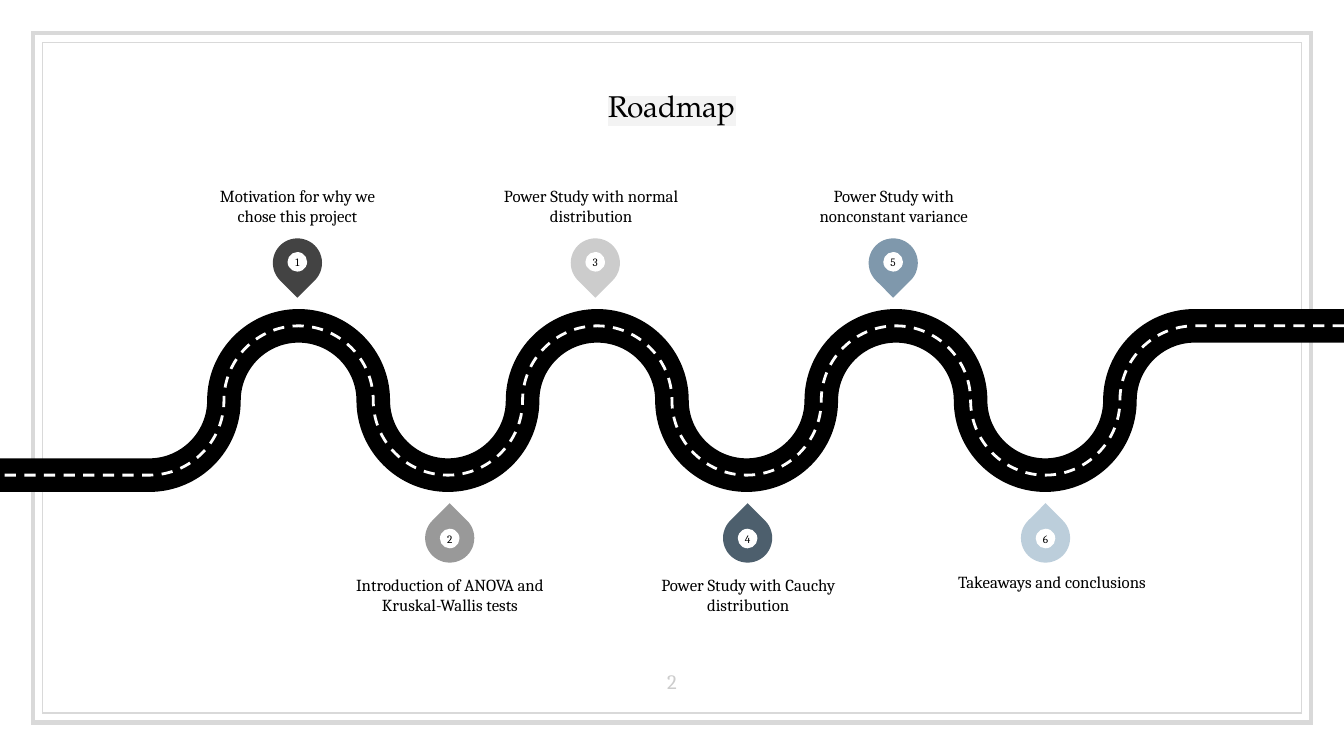
from lxml.etree import SubElement
from pptx import Presentation
from pptx.dml.color import RGBColor
from pptx.enum.dml import MSO_LINE
from pptx.enum.shapes import MSO_SHAPE
from pptx.enum.text import MSO_ANCHOR, PP_ALIGN
from pptx.oxml.ns import qn
from pptx.util import Cm, Pt

COLORS = {
    "frame": "D9D9D9", "highlight": "F3F3F3", "page": "CCCCCC",
    "ink": "000000", "paper": "FFFFFF",
    1: "434343", 2: "999999", 3: "CCCCCC",
    4: "4D5F6D", 5: "7F98AC", 6: "BCCEDB",
}
BODY_FONT, TITLE_FONT = "Cambria", "TeX Gyre Pagella"

# Lengths in cm; the road has nine equal columns
WIDTH, HEIGHT = 25.4, 14.29
COLUMN = WIDTH / 9
ROAD_TOP = 6.16
ROAD_MIDDLE = ROAD_TOP + COLUMN / 2
ROAD_BOTTOM = ROAD_TOP + COLUMN
ROUNDNESS = 0.55  # control point distance of a quarter circle
PIN_SIZE, DOT_SIZE, PIN_PITCH = 0.93, 0.37, 5.63
LABEL_WIDTH, LABEL_HEIGHT = 3.58, 1.47

# Step number, label, left and top of the label
STEPS = [
    (1, "Motivation for why we chose this project", 3.83, 2.8),
    (2, "Introduction of ANOVA and Kruskal-Wallis tests", 6.71, 10.86),
    (3, "Power Study with normal distribution", 9.38, 2.8),
    (4, "Power Study with Cauchy distribution", 12.35, 10.86),
    (5, "Power Study with nonconstant variance", 15.1, 2.8),
    (6, "Takeaways and conclusions", 18.09, 10.8),
]


def color(key):
    return RGBColor.from_string(COLORS[key])


def apply(target, values):
    for name, value in values.items():
        setattr(target, name, value)


def write(shape, text, size, font=BODY_FONT, ink="ink",
          anchor=MSO_ANCHOR.MIDDLE, inset=0):
    frame = shape.text_frame
    apply(frame, {
        "word_wrap": True, "vertical_anchor": anchor,
        "margin_left": Cm(inset), "margin_right": Cm(inset),
        "margin_top": Cm(inset), "margin_bottom": Cm(inset),
    })
    paragraph = frame.paragraphs[0]
    paragraph.alignment = PP_ALIGN.CENTER
    run = paragraph.add_run()
    run.text = text
    run.font.color.rgb = color(ink)
    apply(run.font, {"size": Pt(size), "name": font})
    return run


def add_text(slide, box, text, size, **style):
    write(slide.shapes.add_textbox(*map(Cm, box)), text, size, **style)


def outline(shape, key, width, dash=None):
    shape.shadow.inherit = False
    shape.fill.background()
    shape.line.color.rgb = color(key)
    apply(shape.line, {"width": Pt(width), "dash_style": dash})


def add_frame(slide, position, margin_x, margin_y, width):
    """Put a frame behind everything, on the slide master."""
    box = (margin_x, margin_y, WIDTH - 2 * margin_x, HEIGHT - 2 * margin_y)
    frame = slide.shapes.add_shape(MSO_SHAPE.RECTANGLE, *map(Cm, box))
    outline(frame, "frame", width)
    line = frame._element.spPr.find(qn("a:ln"))
    SubElement(line, qn("a:miter"), lim="800000")
    master = slide.slide_layout.slide_master
    master.shapes._spTree.insert(2 + position, frame._element)


def add_title(slide, text):
    title = slide.shapes.title
    apply(title, {"left": Cm(1.08), "top": Cm(0.94),
                  "width": Cm(23.24), "height": Cm(2.11)})
    run = write(title, text, 16, font=TITLE_FONT, inset=0.25)
    # The highlight belongs right after the text fill
    properties = run.font._element
    highlight = SubElement(properties, qn("a:highlight"))
    SubElement(highlight, qn("a:srgbClr"), val=COLORS["highlight"])
    properties.find(qn("a:solidFill")).addnext(highlight)


def road_points():
    """Crests, sides and valleys from right to left."""
    points = [(WIDTH, ROAD_TOP)]
    for column in range(8, 0, -1):
        points.append((column * COLUMN,
                       ROAD_BOTTOM if column % 2 else ROAD_TOP))
        if column > 1:
            points.append(((column - 0.5) * COLUMN, ROAD_MIDDLE))
    points.append((0, ROAD_BOTTOM))
    return [(Cm(x), Cm(y)) for x, y in points]


def round_bends(road):
    """Turn all segments but the straight ends into quarter circles."""
    segments = list(road._element.iter(qn("a:lnTo")))
    ends = [(int(segment[0].get("x")), int(segment[0].get("y")))
            for segment in segments]
    for index in range(1, len(segments) - 1):
        segment, start, end = segments[index], ends[index - 1], ends[index]
        corner = (end[0], start[1]) if index % 2 else (start[0], end[1])
        segment.tag = qn("a:cubicBezTo")
        segment.remove(segment[0])
        controls = [[round(a + ROUNDNESS * (c - a))
                     for a, c in zip(anchor, corner)]
                    for anchor in (start, end)]
        for x, y in (*controls, end):
            SubElement(segment, qn("a:pt"), x=str(x), y=str(y))


def add_road(slide, key, width, dash=None):
    start, *bends = road_points()
    builder = slide.shapes.build_freeform(*start)
    builder.add_line_segments(bends, close=False)
    road = builder.convert_to_shape()
    round_bends(road)
    outline(road, key, width, dash)


def add_disc(group, kind, center_x, center_y, size, key):
    box = (center_x - size / 2, center_y - size / 2, size, size)
    disc = group.shapes.add_shape(kind, *map(Cm, box))
    disc.shadow.inherit = False
    disc.fill.solid()
    disc.fill.fore_color.rgb = color(key)
    disc.line.fill.background()
    return disc


def add_pin(slide, number):
    above = number % 2 == 1
    first_x, pin_y, dot_y = (5.62, 4.97, 4.95) if above else (8.5, 10.17, 10.18)
    x = first_x + (number - 1) // 2 * PIN_PITCH
    group = slide.shapes.add_group_shape()
    pin = add_disc(group, MSO_SHAPE.TEAR, x, pin_y, PIN_SIZE, number)
    pin.rotation = 135 if above else 315
    dot = add_disc(group, MSO_SHAPE.OVAL, x, dot_y, DOT_SIZE, "paper")
    write(dot, str(number), 6)


def add_label(slide, number, text, left, top):
    anchor = MSO_ANCHOR.BOTTOM if number % 2 else MSO_ANCHOR.TOP
    box = (left, top, LABEL_WIDTH, LABEL_HEIGHT)
    add_text(slide, box, text, 9, anchor=anchor)


def main():
    deck = Presentation()
    apply(deck, {"slide_width": Cm(WIDTH), "slide_height": Cm(HEIGHT)})
    slide = deck.slides.add_slide(deck.slide_layouts[5])

    # Double frame, title and page number
    add_frame(slide, 0, 0.62, 0.63, 2.25)
    add_frame(slide, 1, 0.8, 0.81, 0.75)
    add_title(slide, "Roadmap")
    add_text(slide, (11.94, 12.26, 1.52, 1.09), "2", 11, ink="page",
             anchor=MSO_ANCHOR.BOTTOM, inset=0.25)

    # Road surface and its centre line
    add_road(slide, "ink", 18)
    add_road(slide, "paper", 1.5, MSO_LINE.DASH)

    # Steps along the road
    for number, text, left, top in STEPS:
        add_pin(slide, number)
        add_label(slide, number, text, left, top)

    deck.save("out.pptx")


if __name__ == "__main__":
    main()
